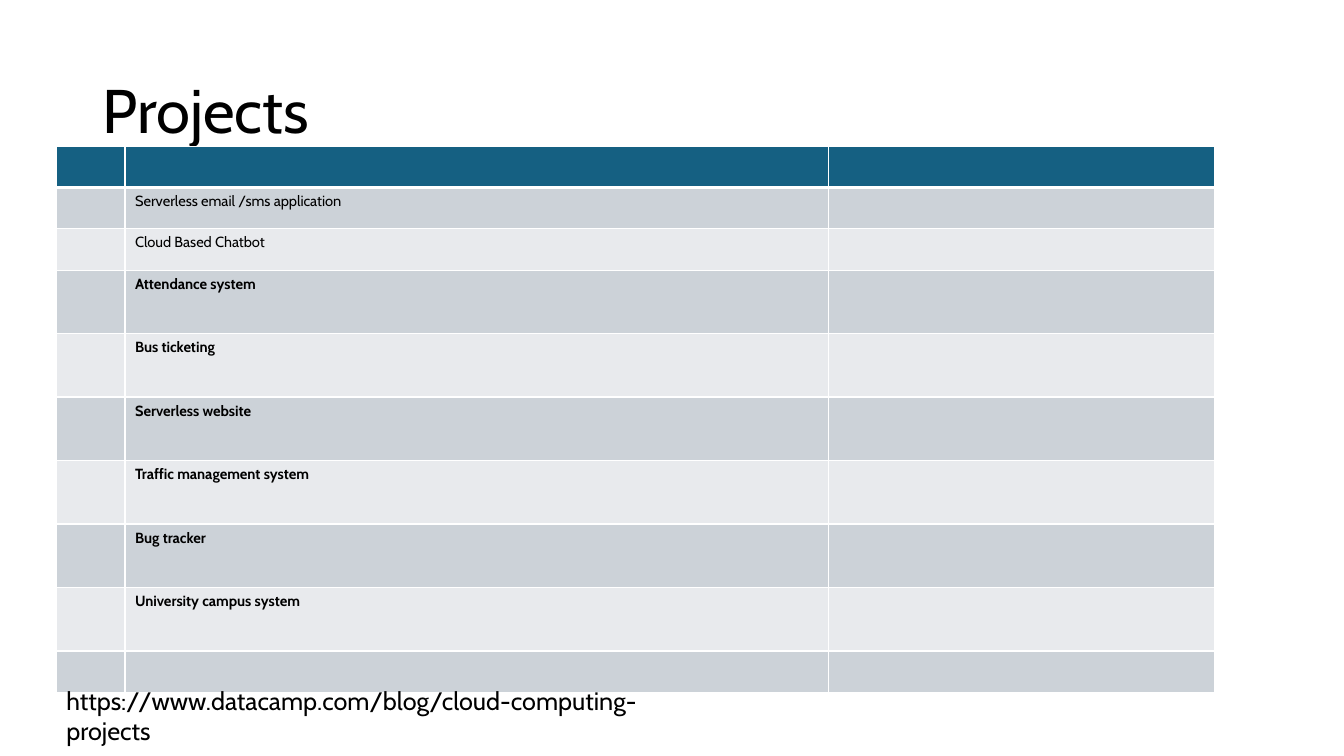
from dataclasses import dataclass

from lxml.etree import SubElement
from pptx import Presentation
from pptx.dml.color import RGBColor
from pptx.enum.text import MSO_ANCHOR
from pptx.oxml.ns import qn
from pptx.util import Inches, Pt


@dataclass(frozen=True)
class Theme:
    font: str = "Cabin"
    text: str = "000000"
    header: str = "156082"
    bands: tuple = ("CCD2D8", "E8EAED")
    border: str = "FFFFFF"
    title_size: float = 44
    link_size: float = 18
    cell_size: float = 10.5
    thin: float = 1
    thick: float = 3


THEME = Theme()
COLUMNS = (0.68, 6.98, 3.83)
SHORT_ROW, TALL_ROW = 0.41, 0.63

# Project name and whether it is a bold entry in a tall row
PROJECTS = (
    ("Serverless email /sms application", False),
    ("Cloud Based Chatbot", False),
    ("Attendance system", True),
    ("Bus ticketing", True),
    ("Serverless website", True),
    ("Traffic management system", True),
    ("Bug tracker", True),
    ("University campus system", True),
    ("", False),
)


def write(tf, text, size, bold=False, spacing=None):
    p = tf.paragraphs[0]
    p.line_spacing = spacing
    r = p.add_run()
    r.text = text
    r.font.name = THEME.font
    r.font.size = Pt(size)
    r.font.bold = bold
    r.font.color.rgb = RGBColor.from_string(THEME.text)


def add_text(s, text, left, top, width, height, anchor=MSO_ANCHOR.TOP, **fmt):
    box = s.shapes.add_textbox(Inches(left), Inches(top), Inches(width), Inches(height))
    tf = box.text_frame
    tf.word_wrap = True
    tf.vertical_anchor = anchor
    write(tf, text, **fmt)


def style_cell(cell, fill, top, bottom):
    """Fill a cell and draw its borders; top and bottom are line widths in points."""
    tc_pr = cell._tc.get_or_add_tcPr()
    widths = {"L": THEME.thin, "R": THEME.thin, "T": top, "B": bottom}
    for side, width in widths.items():
        ln = SubElement(tc_pr, qn(f"a:ln{side}"), w=str(Pt(width)))
        SubElement(SubElement(ln, qn("a:solidFill")), qn("a:srgbClr"), val=THEME.border)
    cell.fill.solid()
    cell.fill.fore_color.rgb = RGBColor.from_string(fill)


def add_projects_table(s, left, top):
    heights = [SHORT_ROW] + [TALL_ROW if tall else SHORT_ROW for _, tall in PROJECTS]
    frame = s.shapes.add_table(
        len(heights), len(COLUMNS), Inches(left), Inches(top),
        Inches(sum(COLUMNS)), Inches(sum(heights)))
    table = frame.table
    table.horz_banding = False
    for column, width in zip(table.columns, COLUMNS):
        column.width = Inches(width)
    for i, (row, height) in enumerate(zip(table.rows, heights)):
        row.height = Inches(height)
        fill = THEME.bands[(i - 1) % 2] if i else THEME.header
        above = THEME.thick if i == 1 else THEME.thin
        below = THEME.thick if i == 0 else THEME.thin
        for cell in row.cells:
            style_cell(cell, fill, above, below)
    for i, (name, tall) in enumerate(PROJECTS, start=1):
        if name:
            write(table.cell(i, 1).text_frame, name, THEME.cell_size, bold=tall)


def main():
    prs = Presentation()
    prs.slide_width, prs.slide_height = Inches(13.33), Inches(7.5)
    s = prs.slides.add_slide(prs.slide_layouts[6])
    add_text(s, "Projects", 0.92, 0.4, 11.5, 1.45, anchor=MSO_ANCHOR.MIDDLE,
             size=THEME.title_size, spacing=0.9)
    add_projects_table(s, 0.56, 1.45)
    add_text(s, "https://www.datacamp.com/blog/cloud-computing-projects",
             0.56, 6.75, 6.67, 0.71, size=THEME.link_size)
    prs.save("out.pptx")


if __name__ == "__main__":
    main()
